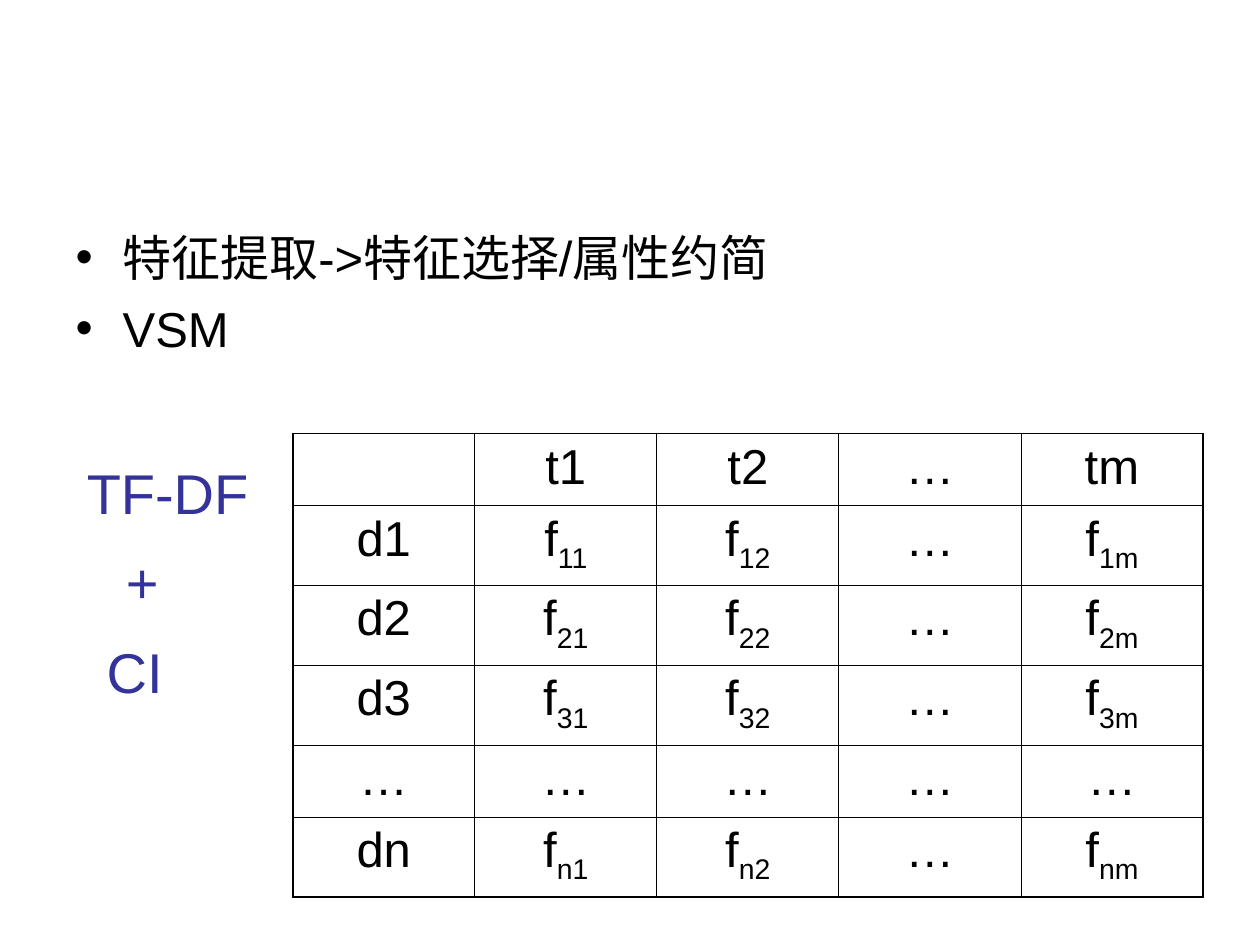
import pptx
import pptx.dml.color
import pptx.enum.text
import pptx.oxml.ns
import pptx.util
from lxml import etree
from pptx.util import Cm, Pt

FONT = "Arial"
BLACK = "000000"
BLUE = "333399"
THIN, THICK = 0.45, 1.08

HEADER = ["", "t1", "t2", "…", "tm"]
ROWS = ["1", "2", "3", "…", "n"]
COLUMNS = ["1", "2", "…", "m"]


def color(value):
    return pptx.dml.color.RGBColor.from_string(value)


def add_xml(parent, tag, **attrs):
    return etree.SubElement(parent, pptx.oxml.ns.qn(tag), **attrs)


def style_font(font, size, value):
    font.name = FONT
    font.size = Pt(size)
    font.color.rgb = color(value)


def fill_bullets(sp, items):
    tf = sp.text_frame
    tf.text = "\n".join(items)
    for i, p in enumerate(tf.paragraphs):
        p.space_before = Pt(7 if i else 0)
        pPr = p._p.get_or_add_pPr()
        pPr.set("marL", str(Cm(0.95)))
        pPr.set("indent", str(-Cm(0.95)))
        add_xml(pPr, "a:buFont", typeface=FONT)
        add_xml(pPr, "a:buChar", char="•")
        for r in p.runs:
            style_font(r.font, 28, BLACK)


def add_label(slide, text, left, top, width):
    sp = slide.shapes.add_textbox(Cm(left), Cm(top), Cm(width), Cm(1.63))
    tf = sp.text_frame
    tf.word_wrap = True
    tf.text = text
    style_font(tf.paragraphs[0].runs[0].font, 32, BLUE)


def set_borders(cell, widths):
    tcPr = cell._tc.get_or_add_tcPr()
    for side, width in zip("LRTB", widths):
        ln = add_xml(tcPr, f"a:ln{side}", w=str(Pt(width)))
        add_xml(add_xml(ln, "a:solidFill"), "a:srgbClr", val=BLACK)


def set_cell(cell, text, subscript=""):
    p = cell.text_frame.paragraphs[0]
    p.alignment = pptx.enum.text.PP_ALIGN.CENTER
    for part in filter(None, (text, subscript)):
        r = p.add_run()
        r.text = part
        style_font(r.font, 28, BLACK)
    if subscript:
        p.runs[-1].font._element.set("baseline", "-25000")


def matrix_entries():
    """Rows of (text, subscript) pairs for the document-term matrix."""
    entries = [[(text, "") for text in HEADER]]
    for row in ROWS:
        line = [("…" if row == "…" else "d" + row, "")]
        for column in COLUMNS:
            gap = "…" in (row, column)
            line.append(("…", "") if gap else ("f", row + column))
        entries.append(line)
    return entries


def add_matrix(slide, entries):
    n_rows, n_cols = len(entries), len(entries[0])
    frame = slide.shapes.add_table(
        n_rows, n_cols, Cm(5.9), Cm(8.74), Cm(18.35), Cm(9.34))
    table = frame.table
    table.first_row = table.horz_banding = False
    for column in table.columns:
        column.width = Cm(3.67)
    for i, line in enumerate(entries):
        # Rows with subscripts are taller
        has_subscript = any(subscript for _, subscript in line)
        table.rows[i].height = Cm(1.61 if has_subscript else 1.45)
        for j, (text, subscript) in enumerate(line):
            cell = table.cell(i, j)
            set_cell(cell, text, subscript)
            # Thick frame outside, thin grid inside
            outer = (j == 0, j == n_cols - 1, i == 0, i == n_rows - 1)
            set_borders(cell, [THICK if edge else THIN for edge in outer])
            cell.fill.background()


def main():
    prs = pptx.Presentation()
    prs.slide_width, prs.slide_height = Cm(25.4), Cm(19.05)
    slide = prs.slides.add_slide(prs.slide_layouts[1])

    # The slide has no title
    title = slide.shapes.title._element
    title.getparent().remove(title)

    # Bullet list
    body = slide.placeholders[1]
    body.left, body.top = Cm(1.27), Cm(4.45)
    body.width, body.height = Cm(23.04), Cm(4.29)
    fill_bullets(body, ["特征提取->特征选择/属性约简", "VSM"])

    # Document-term matrix
    add_matrix(slide, matrix_entries())

    # Weighting labels beside the matrix
    add_label(slide, "TF-DF", 1.5, 9.12, 3.81)
    add_label(slide, "+", 2.29, 10.92, 2.41)
    add_label(slide, "CI", 1.9, 12.72, 3.81)

    prs.save("out.pptx")


if __name__ == "__main__":
    main()
